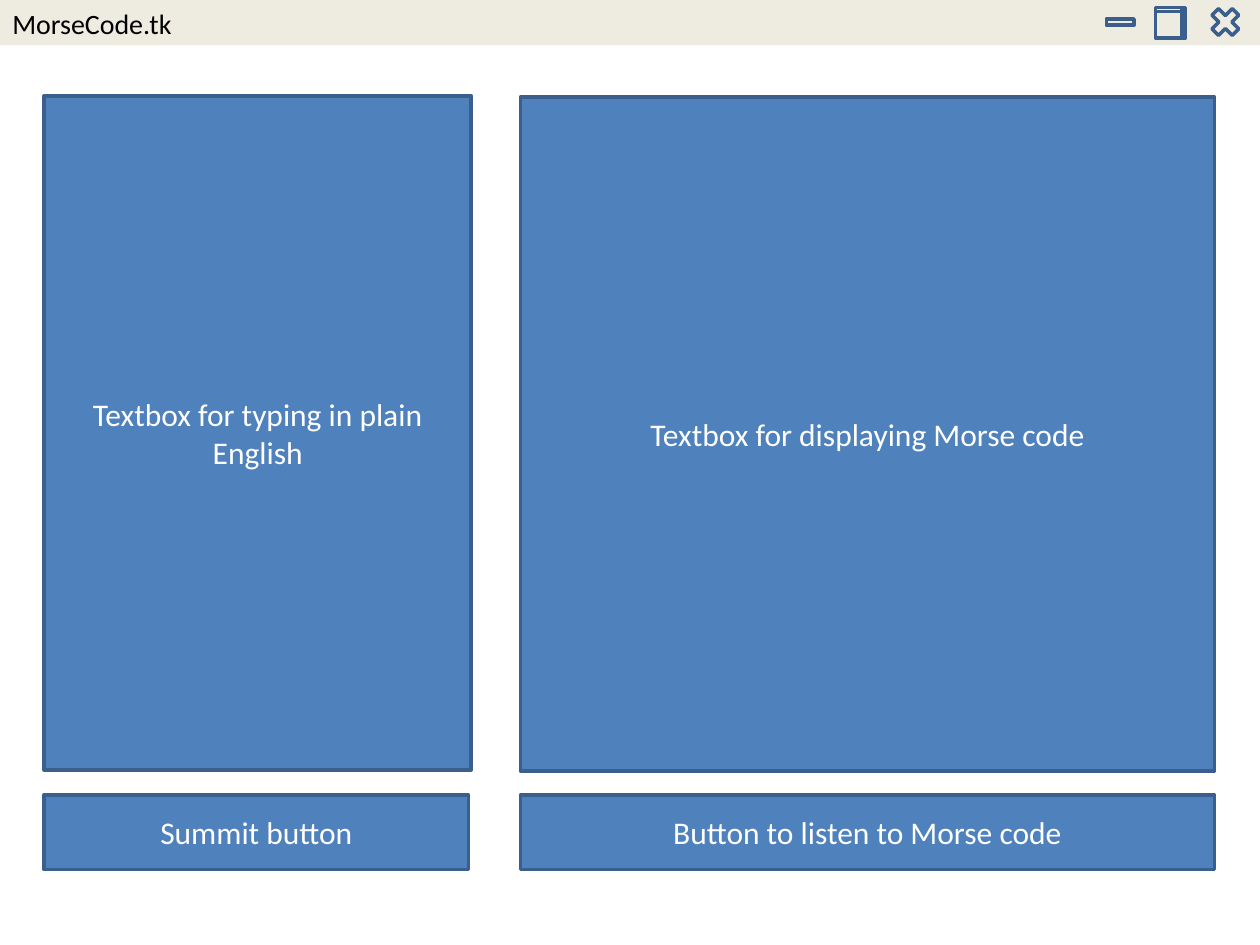
from dataclasses import dataclass
from typing import Optional

from pptx import Presentation
from pptx.dml.color import RGBColor
from pptx.enum.shapes import MSO_SHAPE
from pptx.enum.text import MSO_ANCHOR, PP_ALIGN
from pptx.util import Inches, Pt

BLUE = "4F81BD"
DARK_BLUE = "3A5F8C"
BEIGE = "EEECE1"
WHITE = "FFFFFF"
BLACK = "000000"

LEFT_COLUMN = 0.35
RIGHT_COLUMN = 4.13
RIGHT_WIDTH = 5.51
PANEL_HEIGHT = 5.35
BUTTON_TOP = 6.31
BUTTON_HEIGHT = 0.59


@dataclass(frozen=True)
class Box:
    left: float
    top: float
    width: float
    height: float

    def lengths(self):
        return [Inches(n) for n in (self.left, self.top, self.width, self.height)]


@dataclass(frozen=True)
class WindowIcon:
    kind: MSO_SHAPE
    box: Box
    flipped: bool = False


@dataclass(frozen=True)
class Panel:
    box: Box
    label: str


TITLE_BAR = Box(0, 0, 10, 0.36)
TITLE = Box(0, 0, 3.5, 0.37)

WINDOW_ICONS = [
    WindowIcon(MSO_SHAPE.MATH_MULTIPLY, Box(9.57, 0.02, 0.31, 0.31)),
    WindowIcon(MSO_SHAPE.FLOWCHART_INTERNAL_STORAGE, Box(9.17, 0.06, 0.24, 0.24), flipped=True),
    WindowIcon(MSO_SHAPE.RECTANGLE, Box(8.78, 0.15, 0.22, 0.05)),
]

PANELS = [
    Panel(Box(LEFT_COLUMN, 0.76, 3.39, PANEL_HEIGHT), "Textbox for typing in plain English"),
    Panel(Box(RIGHT_COLUMN, 0.77, RIGHT_WIDTH, PANEL_HEIGHT), "Textbox for displaying Morse code"),
    Panel(Box(RIGHT_COLUMN, BUTTON_TOP, RIGHT_WIDTH, BUTTON_HEIGHT), "Button to listen to Morse code"),
    Panel(Box(LEFT_COLUMN, BUTTON_TOP, 3.37, BUTTON_HEIGHT), "Summit button"),
]


def color(value: str) -> RGBColor:
    return RGBColor.from_string(value)


def write_text(shape, text: str, *, size: float, font_color: str,
               align=PP_ALIGN.LEFT, anchor=MSO_ANCHOR.TOP) -> None:
    frame = shape.text_frame
    frame.word_wrap = True
    frame.vertical_anchor = anchor
    paragraph = frame.paragraphs[0]
    paragraph.alignment = align
    run = paragraph.add_run()
    run.text = text
    run.font.name = "Calibri"
    run.font.size = Pt(size)
    run.font.color.rgb = color(font_color)


def add_shape(shapes, kind: MSO_SHAPE, box: Box, *,
              fill: Optional[str] = None, line: Optional[str] = None):
    shape = shapes.add_shape(kind, *box.lengths())
    shape.shadow.inherit = False
    if fill:
        shape.fill.solid()
        shape.fill.fore_color.rgb = color(fill)
    else:
        shape.fill.background()
    if line:
        shape.line.color.rgb = color(line)
        shape.line.width = Pt(2)
    else:
        shape.line.fill.background()
    return shape


def draw_icon(shapes, icon: WindowIcon) -> None:
    shape = add_shape(shapes, icon.kind, icon.box, line=DARK_BLUE)
    if icon.flipped:
        shape.element.spPr.get_or_add_xfrm().set("flipH", "1")


def draw_title_bar(slide) -> None:
    shapes = slide.shapes.add_group_shape().shapes
    add_shape(shapes, MSO_SHAPE.RECTANGLE, TITLE_BAR, fill=BEIGE)
    for icon in WINDOW_ICONS:
        draw_icon(shapes, icon)
    title = shapes.add_textbox(*TITLE.lengths())
    write_text(title, "MorseCode.tk", size=16, font_color=BLACK)


def draw_panel(slide, panel: Panel) -> None:
    shape = add_shape(slide.shapes, MSO_SHAPE.RECTANGLE, panel.box, fill=BLUE, line=DARK_BLUE)
    write_text(shape, panel.label, size=18, font_color=WHITE,
               align=PP_ALIGN.CENTER, anchor=MSO_ANCHOR.MIDDLE)


def main() -> None:
    presentation = Presentation()
    presentation.slide_width = Inches(10)
    presentation.slide_height = Inches(7.5)
    slide = presentation.slides.add_slide(presentation.slide_layouts[6])
    draw_title_bar(slide)
    for panel in PANELS:
        draw_panel(slide, panel)
    presentation.save("out.pptx")


if __name__ == "__main__":
    main()
